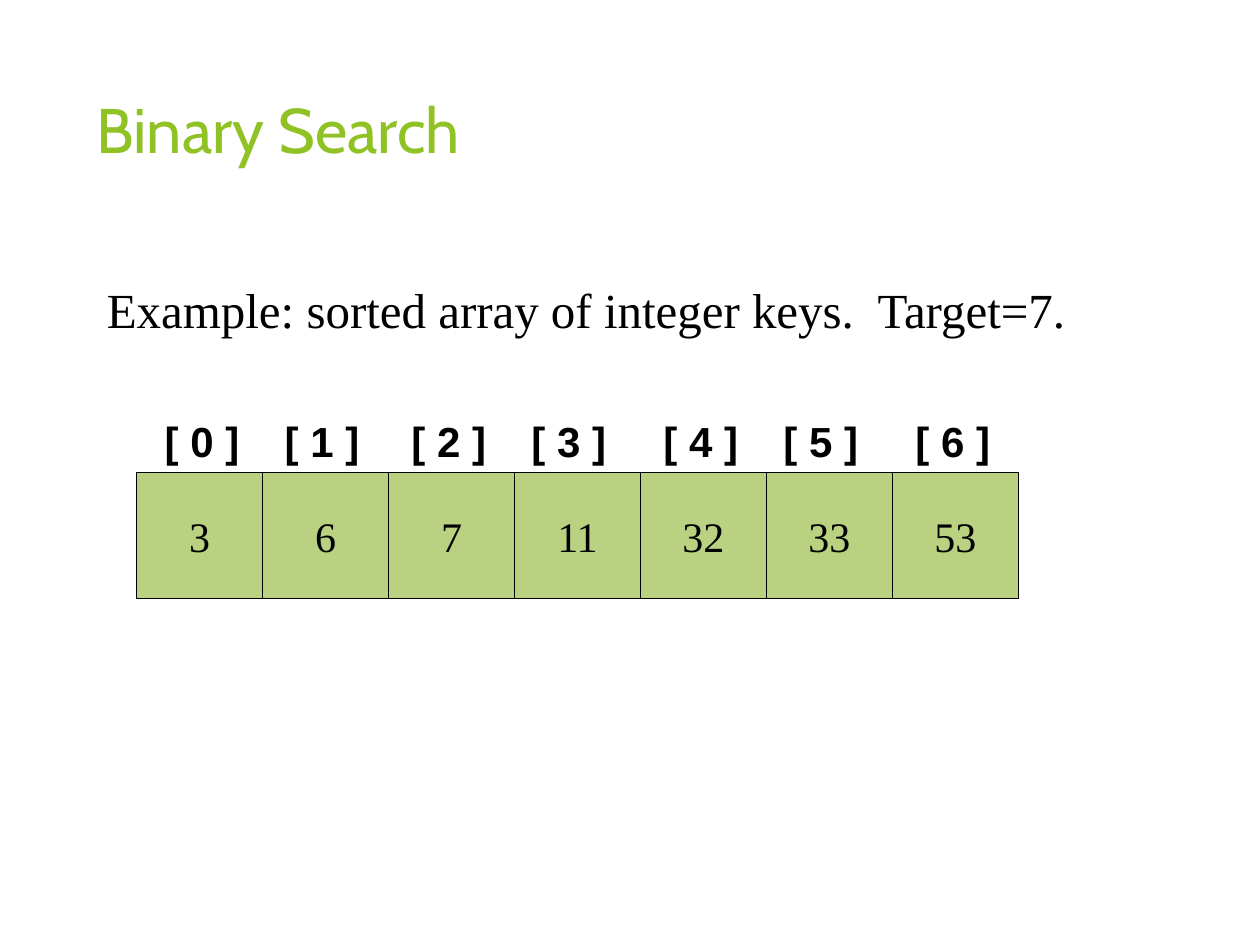
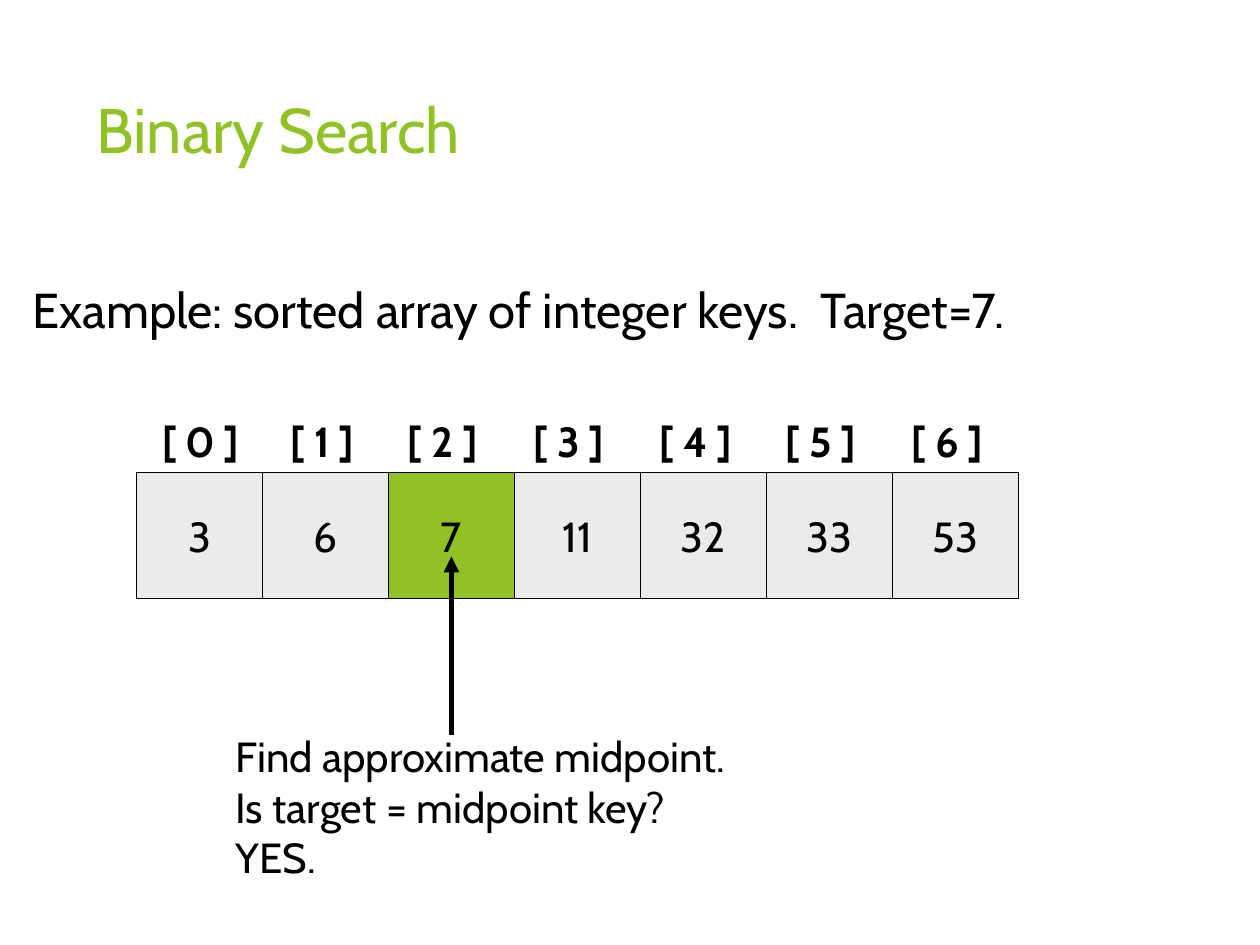
from dataclasses import dataclass
from lxml import etree
from pptx import Presentation
from pptx.dml.color import RGBColor
from pptx.enum.shapes import MSO_CONNECTOR, MSO_SHAPE
from pptx.enum.text import MSO_ANCHOR, PP_ALIGN
from pptx.oxml.ns import qn
from pptx.util import Pt

RECT = MSO_SHAPE.RECTANGLE
LINE = MSO_CONNECTOR.STRAIGHT
LEFT, MID = PP_ALIGN.LEFT, PP_ALIGN.CENTER
TOP, CENTER = MSO_ANCHOR.TOP, MSO_ANCHOR.MIDDLE


@dataclass(frozen=True)
class Theme:
    green: str = "90C226"
    light: str = "B9D181"
    gray: str = "EBEBEB"
    black: str = "000000"
    sans: str = "Cabin"
    serif: str = "Times New Roman"
    bold: str = "Arial"
    title: int = 36
    lead: int = 28
    body: int = 24
    edge: float = 0.75
    arrow: int = 3


T = Theme()
TITLE = "Binary Search"
LEAD = "Example: sorted array of integer keys.  Target=7."
KEYS = [3, 6, 7, 11, 32, 33, 53]
NOTE = ["Find approximate midpoint.", "Is target = midpoint key?  YES."]
PAGES = [
    {
        "font": T.serif, "tagfont": T.bold, "fill": T.light, "hit": None,
        "lead": (54, 566), "tags": [87, 154, 228, 295, 372, 439, 516],
        "note": [],
    },
    {
        "font": T.sans, "tagfont": T.sans, "fill": T.gray, "hit": 2,
        "lead": (11.5, 651), "tags": [85.5, 154, 226, 295, 370, 439, 514],
        "note": NOTE,
    },
]
ROW_X, ROW_Y, SIDE = 78, 270, 72
TAG_Y, TAG_W, TAG_H = 234, 60, 36


def color(code):
    return RGBColor.from_string(code)


def write(shape, lines, font, size, ink=T.black, bold=False,
          align=LEFT, anchor=TOP, wrap=True):
    frame = shape.text_frame
    frame.word_wrap = wrap
    frame.vertical_anchor = anchor
    for i, line in enumerate(lines):
        para = frame.paragraphs[0] if i == 0 else frame.add_paragraph()
        para.alignment = align
        run = para.add_run()
        run.text = line
        run.font.name = font
        run.font.size = Pt(size)
        run.font.bold = bold
        run.font.color.rgb = color(ink)


def label(slide, area, lines, font, size, **style):
    box = slide.shapes.add_textbox(*map(Pt, area))
    write(box, lines, font, size, **style)


def cell(slide, spot, key, page):
    box = slide.shapes.add_shape(
        RECT, Pt(ROW_X + spot * SIDE), Pt(ROW_Y), Pt(SIDE), Pt(SIDE))
    box.shadow.inherit = False
    box.fill.solid()
    box.fill.fore_color.rgb = color(
        T.green if spot == page["hit"] else page["fill"])
    box.line.color.rgb = color(T.black)
    box.line.width = Pt(T.edge)
    write(box, [str(key)], page["font"], T.body,
          align=MID, anchor=CENTER, wrap=False)


def arrow(slide, x, tip, base):
    link = slide.shapes.add_connector(LINE, Pt(x), Pt(tip), Pt(x), Pt(base))
    link.line.color.rgb = color(T.black)
    link.line.width = Pt(T.arrow)
    head = etree.SubElement(link.line._get_or_add_ln(), qn("a:headEnd"))
    head.set("type", "triangle")
    etree.SubElement(link._element.spPr, qn("a:effectLst"))


def build(slide, page):
    label(slide, (48, 48, 500, 104), [TITLE], T.sans, T.title, ink=T.green)
    x, width = page["lead"]
    label(slide, (x, 156, width, 243), [LEAD], page["font"], T.lead)
    for spot, (key, x) in enumerate(zip(KEYS, page["tags"])):
        cell(slide, spot, key, page)
        label(slide, (x, TAG_Y, TAG_W, TAG_H), [f"[ {spot} ]"],
              page["tagfont"], T.body, bold=True, wrap=False,
              align=MID if spot % 2 else LEFT)
    if page["note"]:
        arrow(slide, ROW_X + (page["hit"] + 0.5) * SIDE, 318, 420)
        label(slide, (127.5, 414, 310, 122), page["note"],
              page["font"], T.body)


def main():
    deck = Presentation()
    deck.slide_width, deck.slide_height = Pt(720), Pt(540)
    for page in PAGES:
        build(deck.slides.add_slide(deck.slide_layouts[6]), page)
    deck.save("out.pptx")


if __name__ == "__main__":
    main()
